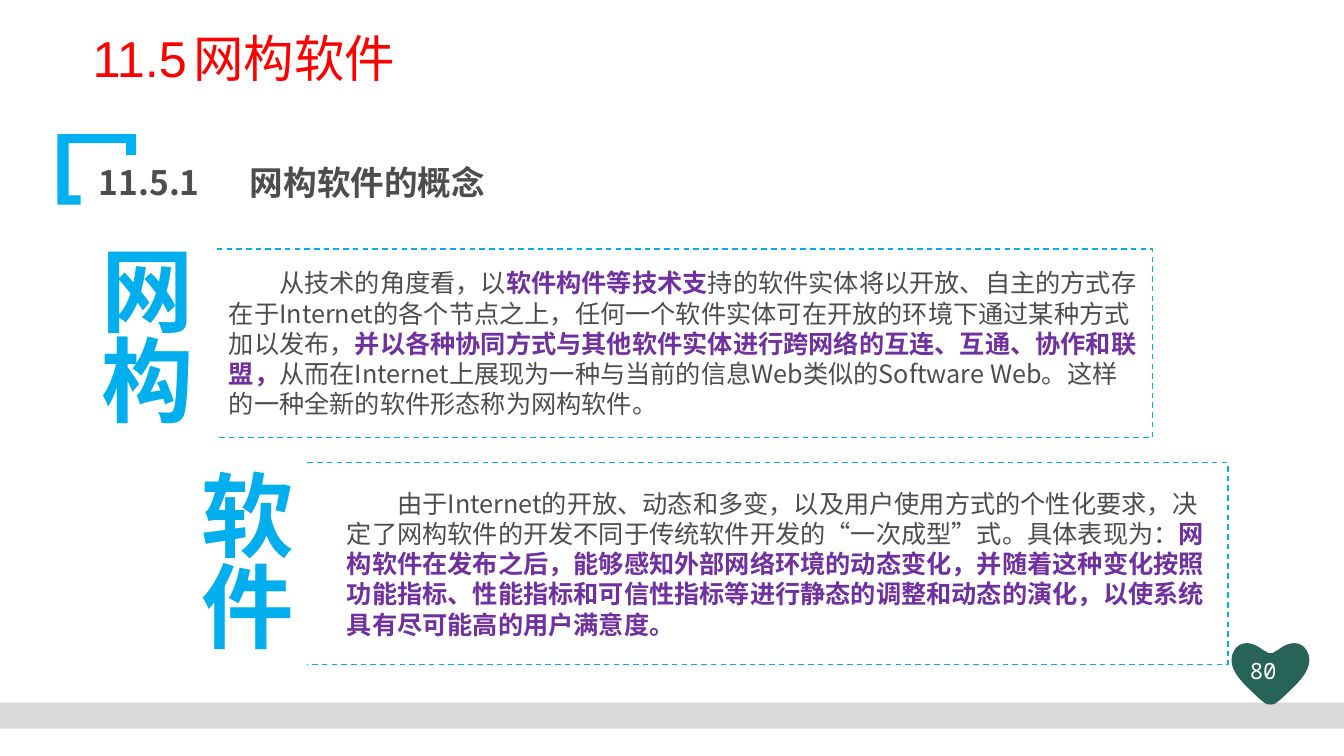
from lxml import etree
from pptx import Presentation
from pptx import util as u
from pptx.dml.color import RGBColor
from pptx.enum import dml, shapes, text
from pptx.oxml.ns import qn

COLORS = {"blue": "00B0F0", "letters": "01AFEE", "body": "4D4D4D", "accent": "7030A0",
          "title": "FF0000", "footer": "D9D9D9", "heart": "276357", "white": "FFFFFF"}
SANS = "Noto Sans CJK SC"

HEADINGS = [
    dict(box=(0.82, 0.29, 9.2, 0.94), runs=[("11.5\t网构软件", "title", False)],
         size=36, font="Arial", spacing=0.9, tab=1.34),
    dict(box=(0.88, 1.53, 6.32, 0.62), runs=[("11.5.1\t网构软件的概念", "body", True)],
         size=24, font=SANS, spacing=1.07, tab=1.22),
]
LETTERS = [("网构", (0.91, 2.07, 1.09, 2.67)), ("软件", (1.9, 4.33, 1.09, 2.62))]
PANELS = [
    dict(box=(2.15, 2.47, 9.28, 1.87), insets=(0.12, 0.05, 0.12, 0.05), runs=[
        ("从技术的角度看，以", "body", False),
        ("软件构件等技术支", "accent", True),
        ("持的软件实体将以开放、自主的方式存在于Internet的各个节点之上，"
         "任何一个软件实体可在开放的环境下通过某种方式加以发布，", "body", False),
        ("并以各种协同方式与其他软件实体进行跨网络的互连、互通、协作和联盟，", "accent", True),
        ("从而在Internet上展现为一种与当前的信息Web类似的Software Web。"
         "这样的一种全新的软件形态称为网构软件。", "body", False)]),
    dict(box=(3.05, 4.59, 9.13, 2), insets=(0.39, 0.2, 0.2, 0.2), runs=[
        ("由于Internet的开放、动态和多变，以及用户使用方式的个性化要求，"
         "决定了网构软件的开发不同于传统软件开发的“一次成型”式。具体表现为：", "body", False),
        ("网构软件在发布之后，能够感知外部网络环境的动态变化，并随着这种变化按照功能指标、"
         "性能指标和可信性指标等进行静态的调整和动态的演化，以使系统具有尽可能高的用户满意度。",
         "accent", True)]),
]
CORNER = [(0.57, 1.33), (1.35, 1.33), (1.35, 1.54), (1.25, 1.54), (1.25, 1.42),
          (0.68, 1.42), (0.68, 1.94), (0.8, 1.94), (0.8, 2.03), (0.57, 2.03)]
HEART_AXIS = 12.6
HEART_HALF = [
    [(0, 6.48), (0.03, 6.48), (0.04, 6.47), (0.05, 6.46)],
    [(0.05, 6.46), (0.05, 6.46), (0.06, 6.46), (0.1, 6.43)],
    [(0.1, 6.43), (0.2, 6.36), (0.33, 6.35), (0.38, 6.5)],
    [(0.38, 6.5), (0.42, 6.66), (0.25, 6.8), (0.1, 6.94)],
    [(0.1, 6.94), (0.06, 6.97), (0.05, 6.99), (0, 6.99)],
]
CURVE_STEPS = 10

presentation = Presentation()
presentation.slide_width, presentation.slide_height = u.Inches(13.33), u.Inches(7.5)
slide = presentation.slides.add_slide(presentation.slide_layouts[6])


def color(name):
    return RGBColor.from_string(COLORS[name])


def fill_plain(shape, name):
    shape.shadow.inherit = False
    shape.fill.solid()
    shape.fill.fore_color.rgb = color(name)
    shape.line.fill.background()


def add_outline(points, close=True):
    first, *rest = [(u.Inches(x), u.Inches(y)) for x, y in points]
    builder = slide.shapes.build_freeform(*first, scale=1.0)
    builder.add_line_segments(rest, close=close)
    return builder.convert_to_shape()


def write(shape, runs, size, font, spacing=1.0, align=text.PP_ALIGN.LEFT,
          anchor=text.MSO_ANCHOR.TOP, insets=(0.1, 0.05, 0.1, 0.05), indent=0, tab=None):
    frame = shape.text_frame
    frame.word_wrap = True
    frame.vertical_anchor = anchor
    frame.margin_left, frame.margin_top, frame.margin_right, frame.margin_bottom = map(u.Inches, insets)
    paragraph = frame.paragraphs[0]
    paragraph.alignment = align
    paragraph.line_spacing = spacing
    properties = paragraph._p.get_or_add_pPr()
    properties.set("indent", str(u.Inches(indent)))
    if tab:
        tabs = etree.SubElement(properties, qn("a:tabLst"))
        etree.SubElement(tabs, qn("a:tab"), pos=str(u.Inches(tab)), algn="l")
    for words, name, bold in runs:
        run = paragraph.add_run()
        run.text = words
        run.font.size, run.font.bold, run.font.name = u.Pt(size), bold, font
        run.font.color.rgb = color(name)
        etree.SubElement(run.font._element, qn("a:ea"), typeface=font)


def add_text(box, runs, **style):
    write(slide.shapes.add_textbox(*map(u.Inches, box)), runs, **style)


def curve_point(curve, t):
    weights = ((1 - t) ** 3, 3 * t * (1 - t) ** 2, 3 * t * t * (1 - t), t ** 3)
    return tuple(sum(w * p[axis] for w, p in zip(weights, curve)) for axis in (0, 1))


fill_plain(add_outline(CORNER), "blue")
footer = slide.shapes.add_shape(shapes.MSO_SHAPE.RECTANGLE,
                                *map(u.Inches, (0, 6.97, 13.33, 0.26)))
fill_plain(footer, "footer")

half = [curve_point(curve, step / CURVE_STEPS)
        for curve in HEART_HALF for step in range(CURVE_STEPS)]
heart = [(HEART_AXIS + x, y) for x, y in half] + [(HEART_AXIS, HEART_HALF[-1][-1][1])]
heart += [(HEART_AXIS - x, y) for x, y in reversed(half)]
fill_plain(add_outline(heart), "heart")
add_text((12.18, 6.47, 0.7, 0.39), [("80", "white", False)], size=16,
         font="Noto Sans Mono", align=text.PP_ALIGN.CENTER)

for heading in HEADINGS:
    add_text(**heading)

for panel in PANELS:
    left, top, width, height = panel["box"]
    right, bottom = left + width, top + height
    frame_shape = add_outline([(left, top), (right, top), (right, bottom), (left, bottom)], close=False)
    frame_shape.shadow.inherit = False
    frame_shape.fill.background()
    frame_shape.line.color.rgb = color("blue")
    frame_shape.line.width = u.Pt(1)
    frame_shape.line.dash_style = dml.MSO_LINE.DASH
    write(frame_shape, panel["runs"], size=18, font=SANS, indent=0.5,
          anchor=text.MSO_ANCHOR.MIDDLE, insets=panel["insets"])

for letters, box in LETTERS:
    add_text(box, [(letters, "letters", True)], size=66, font="Noto Sans CJK JP", spacing=0.82,
             align=text.PP_ALIGN.CENTER, anchor=text.MSO_ANCHOR.MIDDLE)

presentation.save("out.pptx")
